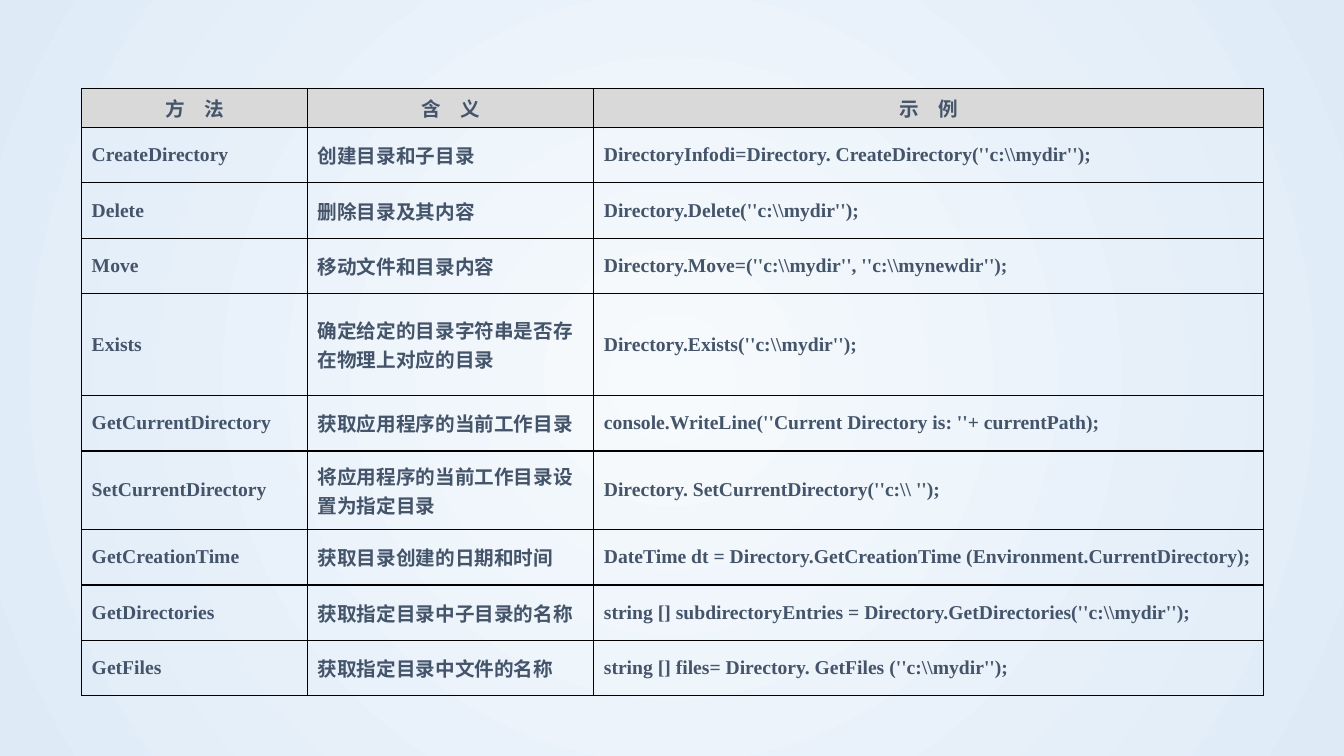
"""Build a slide with a table of Directory class methods, meanings and examples."""
from lxml.etree import SubElement
from pptx import Presentation
from pptx.dml.color import RGBColor
from pptx.enum.text import MSO_ANCHOR, PP_ALIGN
from pptx.oxml.ns import qn
from pptx.util import Inches, Pt

TEXT = RGBColor(0x44, 0x54, 0x6A)
HEADER_FILL = RGBColor(0xD9, 0xD9, 0xD9)
BORDER = RGBColor(0x00, 0x00, 0x00)
BACK_CENTRE = RGBColor(0xF7, 0xFA, 0xFD)
BACK_EDGE = RGBColor(0xDE, 0xEB, 0xF7)

COLUMN_WIDTHS = [2.24, 2.84, 6.64]
ROW_HEIGHT = 0.55
SPECIAL_HEIGHTS = {0: 0.33, 4: 1.01, 6: 0.78}
ROWS = [
    ("方　法", "含　义", "示　例"),
    ("CreateDirectory", "创建目录和子目录",
     r"DirectoryInfodi=Directory. CreateDirectory(''c:\\mydir'');"),
    ("Delete", "删除目录及其内容", r"Directory.Delete(''c:\\mydir'');"),
    ("Move", "移动文件和目录内容",
     r"Directory.Move=(''c:\\mydir'', ''c:\\mynewdir'');"),
    ("Exists", "确定给定的目录字符串是否存在物理上对应的目录",
     r"Directory.Exists(''c:\\mydir'');"),
    ("GetCurrentDirectory", "获取应用程序的当前工作目录",
     "console.WriteLine(''Current Directory is: ''+ currentPath);"),
    ("SetCurrentDirectory", "将应用程序的当前工作目录设置为指定目录",
     r"Directory. SetCurrentDirectory(''c:\\ '');"),
    ("GetCreationTime", "获取目录创建的日期和时间",
     "DateTime dt = Directory.GetCreationTime (Environment.CurrentDirectory);"),
    ("GetDirectories", "获取指定目录中子目录的名称",
     r"string [] subdirectoryEntries = Directory.GetDirectories(''c:\\mydir'');"),
    ("GetFiles", "获取指定目录中文件的名称",
     r"string [] files= Directory. GetFiles (''c:\\mydir'');"),
]


def add_borders(cell):
    """Draw a thin solid line on all four sides of a cell."""
    properties = cell._tc.get_or_add_tcPr()
    for side in ("a:lnL", "a:lnR", "a:lnT", "a:lnB"):
        line = SubElement(properties, qn(side), w=str(Pt(1)))
        solid = SubElement(line, qn("a:solidFill"))
        SubElement(solid, qn("a:srgbClr"), val=str(BORDER))


deck = Presentation()
deck.slide_width = Inches(13.33)
deck.slide_height = Inches(7.5)
page = deck.slides.add_slide(deck.slide_layouts[6])

back_fill = page.background.fill
back_fill.gradient()
for stop, color in zip(back_fill.gradient_stops, (BACK_CENTRE, BACK_EDGE)):
    stop.color.rgb = color
gradient = page.element.find(".//" + qn("a:gradFill"))
gradient.remove(gradient.find(qn("a:lin")))
circle = SubElement(gradient, qn("a:path"), {"path": "circle"})
SubElement(circle, qn("a:fillToRect"), dict.fromkeys("ltrb", "50000"))

heights = [SPECIAL_HEIGHTS.get(index, ROW_HEIGHT) for index in range(len(ROWS))]
table = page.shapes.add_table(
    len(ROWS), len(COLUMN_WIDTHS), Inches(0.81), Inches(0.88),
    Inches(sum(COLUMN_WIDTHS)), Inches(sum(heights))).table
table.first_row = False
table.horz_banding = False
for column, width in zip(table.columns, COLUMN_WIDTHS):
    column.width = Inches(width)

for row_index, (row, height, texts) in enumerate(zip(table.rows, heights, ROWS)):
    row.height = Inches(height)
    for cell, text in zip(row.cells, texts):
        add_borders(cell)
        cell.vertical_anchor = MSO_ANCHOR.MIDDLE
        para = cell.text_frame.paragraphs[0]
        para.text = text
        if row_index == 0:
            cell.fill.solid()
            cell.fill.fore_color.rgb = HEADER_FILL
            para.alignment = PP_ALIGN.CENTER
        else:
            cell.fill.background()
        font = para.runs[0].font
        font.name = "Times New Roman"
        font.size = Pt(14)
        font.bold = True
        font.color.rgb = TEXT

deck.save("out.pptx")
